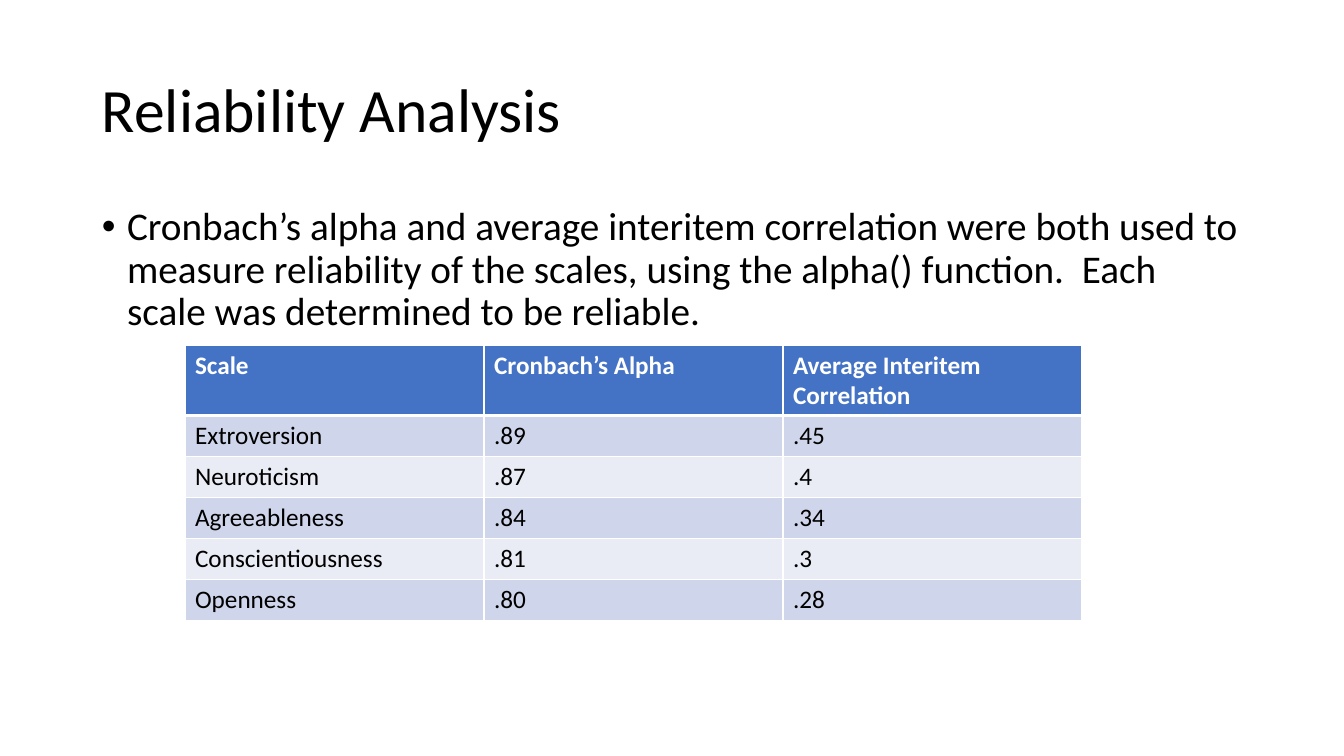
from lxml import etree
from pptx import Presentation
from pptx import util as u
from pptx.dml.color import RGBColor
from pptx.enum import text
from pptx.oxml.ns import qn

PX = 914400 / 100.8
FONT = "Calibri"
COLORS = {"ink": "000000", "white": "FFFFFF", "header": "4472C4",
          "band_dark": "CFD5EA", "band_light": "E9EBF5"}
BODY = ("Cronbach’s alpha and average interitem correlation were both used to "
        "measure reliability of the scales, using the alpha() function.  "
        "Each scale was determined to be reliable.")
SCALES = [
    ("Scale", "Cronbach’s Alpha", "Average Interitem Correlation"),
    ("Extroversion", ".89", ".45"),
    ("Neuroticism", ".87", ".4"),
    ("Agreeableness", ".84", ".34"),
    ("Conscientiousness", ".81", ".3"),
    ("Openness", ".80", ".28"),
]
COL_W, HEADER_H, ROW_H = 299, 70, 41


def px(n):
    return u.Emu(round(n * PX))


def rgb(name):
    return RGBColor.from_string(COLORS[name])


def style_text(p, size, color="ink", bold=False):
    for r in p.runs:
        r.font.name = FONT
        r.font.size = u.Pt(size)
        r.font.bold = bold
        r.font.color.rgb = rgb(color)


def add_text(s, box, words, size, anchor):
    tf = s.shapes.add_textbox(*map(px, box)).text_frame
    tf.word_wrap = True
    tf.vertical_anchor = anchor
    tf.text = words
    p = tf.paragraphs[0]
    p.line_spacing = 0.9
    style_text(p, size)
    return p


def add_bullet(p, indent):
    pPr = p._p.get_or_add_pPr()
    pPr.set("marL", str(u.Inches(indent)))
    pPr.set("indent", str(-u.Inches(indent)))
    etree.SubElement(pPr, qn("a:buFont"), typeface="Arial")
    etree.SubElement(pPr, qn("a:buChar"), char="•")


def set_borders(cell, top, bottom):
    """Draw white cell edges; top and bottom are widths in points."""
    tcPr = cell._tc.get_or_add_tcPr()
    widths = {"a:lnL": 1, "a:lnR": 1, "a:lnT": top, "a:lnB": bottom}
    for i, (tag, width) in enumerate(widths.items()):
        ln = etree.Element(qn(tag), w=str(u.Pt(width)))
        fill = etree.SubElement(ln, qn("a:solidFill"))
        etree.SubElement(fill, qn("a:srgbClr"), val=COLORS["white"])
        tcPr.insert(i, ln)


def add_scale_table(s, left, top, rows):
    n_rows, n_cols = len(rows), len(rows[0])
    height = HEADER_H + ROW_H * (n_rows - 1)
    table = s.shapes.add_table(n_rows, n_cols, px(left), px(top),
                               px(COL_W * n_cols), px(height)).table
    for i, values in enumerate(rows):
        header = i == 0
        band = "header" if header else "band_dark" if i % 2 else "band_light"
        table.rows[i].height = px(HEADER_H if header else ROW_H)
        for j, value in enumerate(values):
            cell = table.cell(i, j)
            cell.text = value
            style_text(cell.text_frame.paragraphs[0], 18,
                       "white" if header else "ink", header)
            cell.fill.solid()
            cell.fill.fore_color.rgb = rgb(band)
            set_borders(cell, 3 if i == 1 else 1, 3 if header else 1)


def main():
    prs = Presentation()
    prs.slide_width, prs.slide_height = px(1344), px(756)
    s = prs.slides.add_slide(prs.slide_layouts[6])
    add_text(s, (92, 40, 1159, 146), "Reliability Analysis", 44,
             text.MSO_ANCHOR.MIDDLE)
    p = add_text(s, (92, 202, 1159, 480), BODY, 28, text.MSO_ANCHOR.TOP)
    p.space_before = u.Pt(10)
    add_bullet(p, 0.25)
    add_scale_table(s, 185, 345, SCALES)
    prs.save("out.pptx")


if __name__ == "__main__":
    main()
